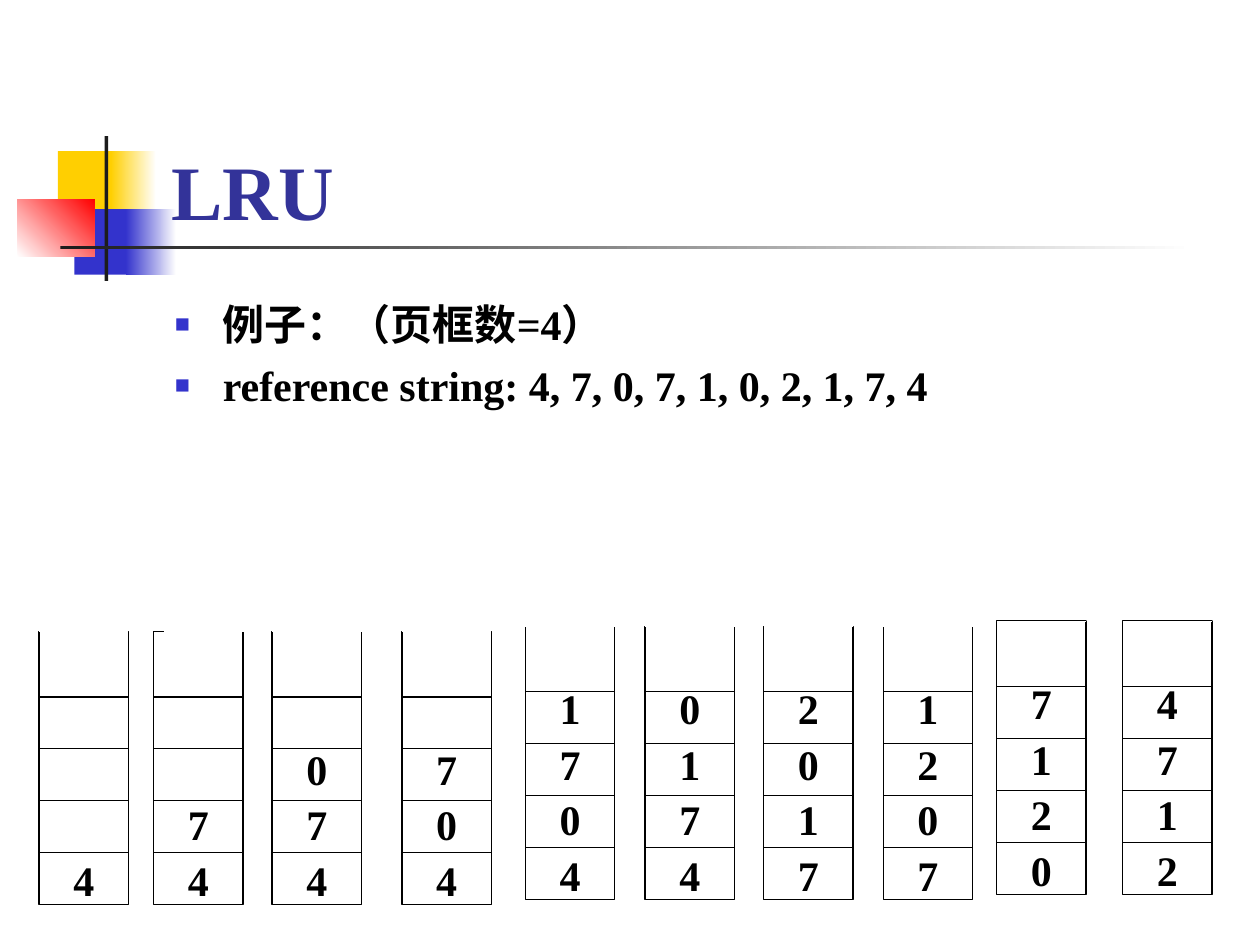
from lxml import etree
from pptx import Presentation
from pptx.dml.color import RGBColor
from pptx.enum.shapes import MSO_CONNECTOR, MSO_SHAPE
from pptx.enum.text import MSO_ANCHOR, PP_ALIGN
from pptx.oxml.ns import qn
from pptx.util import Inches, Pt

RECT = MSO_SHAPE.RECTANGLE
STRAIGHT = MSO_CONNECTOR.STRAIGHT
MIDDLE, BOTTOM = MSO_ANCHOR.MIDDLE, MSO_ANCHOR.BOTTOM
CENTER = PP_ALIGN.CENTER
FONT = "Times New Roman"
BLACK, WHITE = "000000", "FFFFFF"
YELLOW, BLUE, RED, DARK, NAVY = "FFCF01", "3333CC", "FF0000", "1C1C1C", "333399"
COLS, ROWS = 100, 75
FRAMES = 4
REFERENCES = [4, 7, 0, 7, 1, 0, 2, 1, 7, 4]
STACK_W, STACK_H = 7.1, 21.7
STACK_PLACES = [
    (3.1, 50.1), (12.2, 50.1), (21.6, 50.1), (31.9, 50.1), (41.7, 49.7),
    (51.2, 49.7), (60.6, 49.7), (70.1, 49.7), (79.1, 49.3), (89.1, 49.3),
]


def grid(n):
    return Inches(n / 10)


def rgb(value):
    return RGBColor.from_string(value)


def style_text(p, size, color):
    for r in p.runs:
        r.font.name = FONT
        r.font.size = Pt(size)
        r.font.bold = True
        r.font.color.rgb = rgb(color)


def add_rect(shapes, x, y, w, h):
    sp = shapes.add_shape(RECT, grid(x), grid(y), grid(w), grid(h))
    sp.shadow.inherit = False
    return sp


def add_line(shapes, x, y, w, color):
    line = shapes.add_connector(STRAIGHT, grid(x), grid(y), grid(x + w), grid(y))
    line.line.color.rgb = rgb(color)
    line.line.width = Pt(0.75)
    etree.SubElement(line._element.spPr, qn("a:effectLst"))


def add_textbox(slide, x, y, w, h):
    tf = slide.shapes.add_textbox(grid(x), grid(y), grid(w), grid(h)).text_frame
    tf.word_wrap = True
    return tf


def add_bullet(p):
    pPr = p._p.get_or_add_pPr()
    pPr.set("marL", str(grid(3.8)))
    pPr.set("indent", str(-grid(3.8)))
    color = etree.SubElement(pPr, qn("a:buClr"))
    etree.SubElement(color, qn("a:srgbClr")).set("val", BLUE)
    etree.SubElement(pPr, qn("a:buSzPct")).set("val", "60000")
    etree.SubElement(pPr, qn("a:buFont")).set("typeface", FONT)
    etree.SubElement(pPr, qn("a:buChar")).set("char", "■")


def draw_ornament(slide, left, top):
    parts = [
        (3.2, 1.2, 4.8, 5.2, [YELLOW], 0),
        (7.4, 1.2, 3.6, 5.2, [YELLOW, WHITE], 0),
        (4.5, 5.8, 4.6, 5.2, [BLUE], 0),
        (8.6, 5.8, 4, 5.2, [BLUE, WHITE], 0),
        (0, 5, 6.1, 4.6, [WHITE, RED], 45),
        (6.9, 0, 0.3, 11.5, [DARK], 0),
        (3.4, 8.7, 90, 0.3, [DARK, WHITE], 0),
    ]
    for x, y, w, h, colors, angle in parts:
        sp = add_rect(slide.shapes, left + x, top + y, w, h)
        sp.line.fill.background()
        if len(colors) == 1:
            sp.fill.solid()
            sp.fill.fore_color.rgb = rgb(colors[0])
        else:
            sp.fill.gradient()
            sp.fill.gradient_angle = angle
            for stop, color in zip(sp.fill.gradient_stops, colors):
                stop.color.rgb = rgb(color)


def draw_title(slide, x, y, w, h):
    tf = add_textbox(slide, x, y, w, h)
    tf.vertical_anchor = BOTTOM
    tf.text = "LRU"
    style_text(tf.paragraphs[0], 44, NAVY)


def draw_body(slide, x, y, w, h):
    tf = add_textbox(slide, x, y, w, h)
    references = ", ".join(map(str, REFERENCES))
    tf.text = f"例子：（页框数={FRAMES}）\nreference string: {references}"
    for i, p in enumerate(tf.paragraphs):
        add_bullet(p)
        if i:
            p.space_before = Pt(6)
        style_text(p, 24, BLACK)


def draw_stack(slide, x, y, w, h, pages, top_shift):
    shapes = slide.shapes.add_group_shape().shapes
    sp = add_rect(shapes, x, y, w, h)
    sp.fill.background()
    sp.line.color.rgb = rgb(BLACK)
    sp.line.width = Pt(0.75)
    tf = sp.text_frame
    tf.word_wrap = False
    tf.vertical_anchor = BOTTOM
    tf.margin_bottom = 0
    tf.text = "\n".join(map(str, pages))
    for p in tf.paragraphs:
        p.alignment = CENTER
        p.line_spacing = 1.1
        style_text(p, 24, BLACK)
    row = h * 0.19
    for i in range(1, FRAMES + 1):
        add_line(shapes, x, y + h - i * row, w, BLACK)
    add_line(shapes, x + top_shift, y, w, WHITE)


def draw_stacks(slide):
    pages = []
    for i, (page, (x, y)) in enumerate(zip(REFERENCES, STACK_PLACES)):
        pages = [page, *(q for q in pages if q != page)][:FRAMES]
        top_shift = 0.8 if i == 1 else 0
        draw_stack(slide, x, y, STACK_W, STACK_H, pages, top_shift)


def main():
    prs = Presentation()
    prs.slide_width, prs.slide_height = grid(COLS), grid(ROWS)
    slide = prs.slides.add_slide(prs.slide_layouts[6])
    draw_ornament(slide, 1.4, 10.8)
    draw_title(slide, 12.6, 6.7, 85.2, 12.5)
    draw_body(slide, 12.9, 23.2, 85, 19)
    draw_stacks(slide)
    prs.save("out.pptx")


if __name__ == "__main__":
    main()
